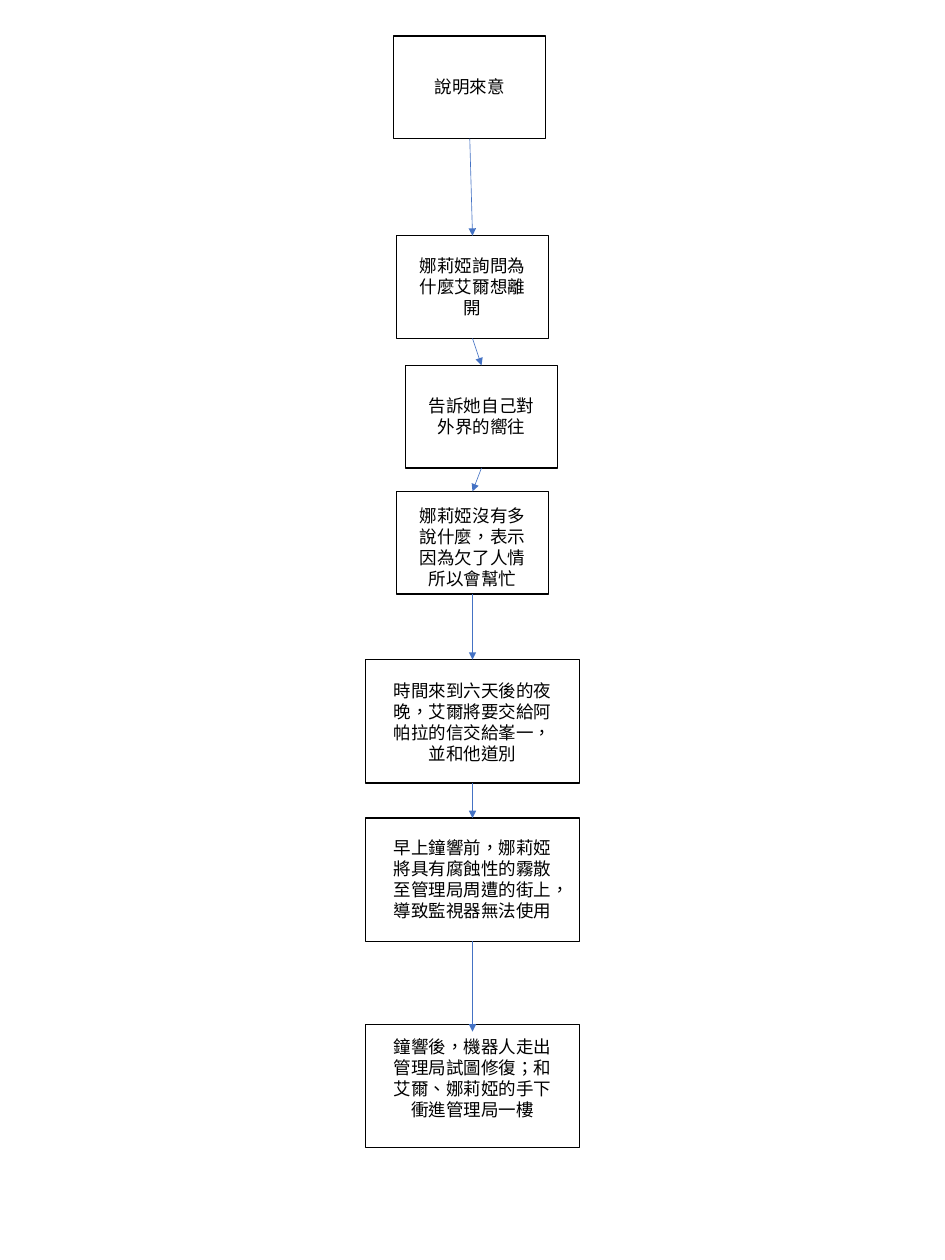
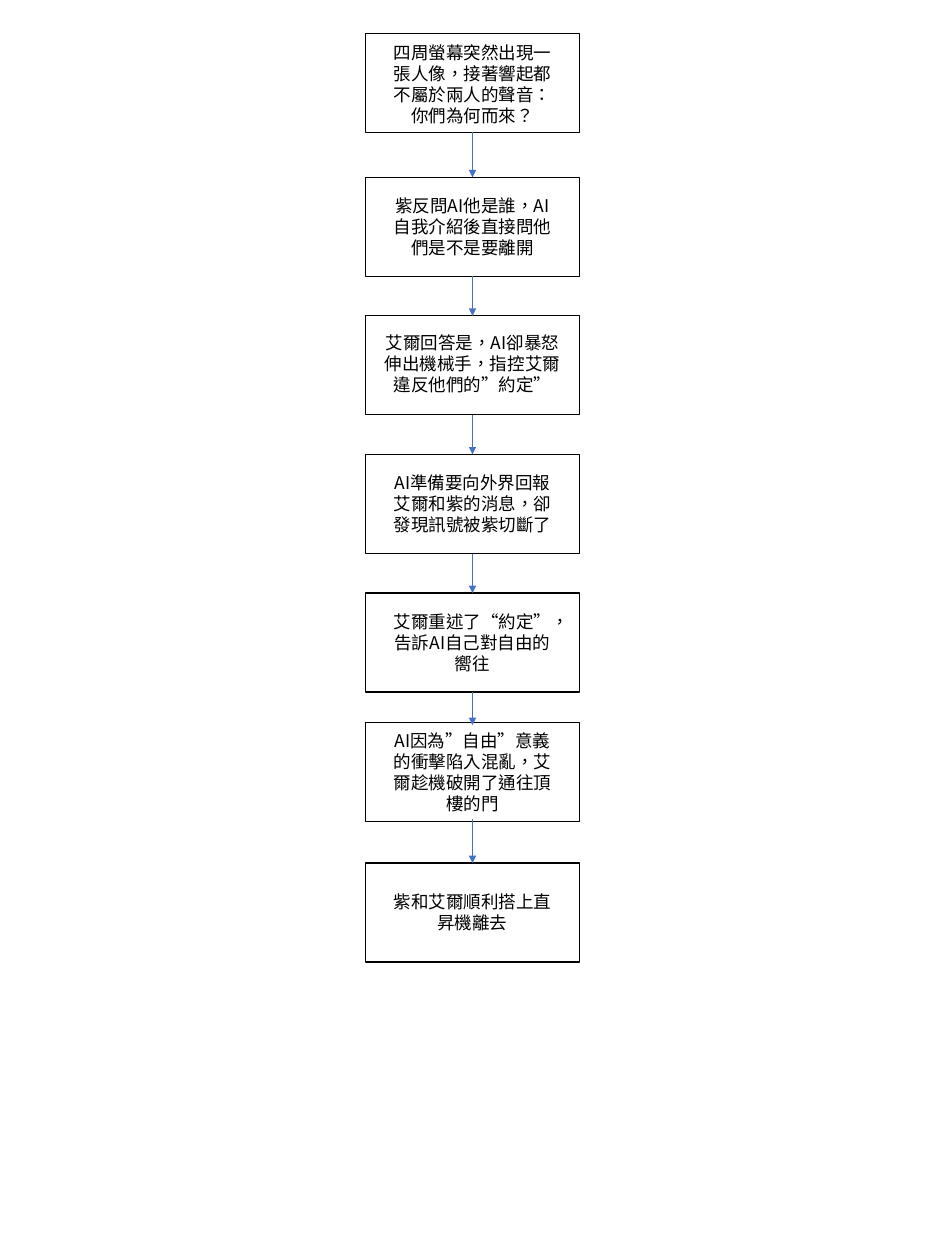
import dataclasses
import typing

import lxml.etree
import pptx
import pptx.dml.color
import pptx.enum.lang
import pptx.enum.shapes
import pptx.enum.text
import pptx.oxml.ns
import pptx.util

Inches = pptx.util.Inches

SLIDE_WIDTH, SLIDE_HEIGHT = 10.5, 14
CENTER = SLIDE_WIDTH / 2
FONT = "Noto Sans CJK SC"
BOX_FILL = "FFFFFF"
INK = "000000"
ARROW_COLOR = "4472C4"
FIRST_LINE_HEIGHT = 0.34
NEXT_LINE_HEIGHT = 0.235
TOP_SITE, BOTTOM_SITE = 0, 2


@dataclasses.dataclass(frozen=True)
class BoxSize:
    width: float
    height: float
    label_width: float


@dataclasses.dataclass(frozen=True)
class Step:
    text: str
    top: float
    lines: int
    size: BoxSize
    center: float = CENTER
    label_shift: float = 0
    arrows_meet_label: bool = False


SMALL = BoxSize(1.69, 1.14, 1.49)
LARGE = BoxSize(2.38, 1.37, 2.08)
MEDIUM = BoxSize(2.38, 1.1, 2.03)
MEDIUM_WIDE_LABEL = dataclasses.replace(MEDIUM, label_width=2.19)

ESCAPE_PLAN = [
    Step("說明來意", 0.4, 1, SMALL, center=5.22),
    Step("娜莉婭詢問為什麼艾爾想離開", 2.62, 3, SMALL),
    Step("告訴她自己對外界的嚮往", 4.06, 2, SMALL, center=5.35),
    Step("娜莉婭沒有多說什麼，表示因為欠了人情所以會幫忙", 5.46, 4, SMALL,
         label_shift=0.05),
    Step("時間來到六天後的夜晚，艾爾將要交給阿帕拉的信交給峯一，並和他道別",
         7.33, 4, LARGE, label_shift=0.01),
    Step("早上鐘響前，娜莉婭將具有腐蝕性的霧散至管理局周遭的街上，導致監視器無法使用",
         9.09, 4, LARGE),
    Step("鐘響後，機器人走出管理局試圖修復；和艾爾、娜莉婭的手下衝進管理局一樓",
         11.38, 4, LARGE, label_shift=-0.08, arrows_meet_label=True),
]

AI_CONFRONTATION = [
    Step("四周螢幕突然出現一張人像，接著響起都不屬於兩人的聲音：你們為何而來？",
         0.37, 4, MEDIUM, label_shift=0.02),
    Step("紫反問AI他是誰，AI自我介紹後直接問他們是不是要離開", 1.97, 3, MEDIUM),
    Step("艾爾回答是，AI卻暴怒伸出機械手，指控艾爾違反他們的”約定”",
         3.51, 3, MEDIUM_WIDE_LABEL, label_shift=-0.02),
    Step("AI準備要向外界回報艾爾和紫的消息，卻發現訊號被紫切斷了", 5.05, 3, MEDIUM),
    Step("艾爾重述了“約定”，告訴AI自己對自由的嚮往", 6.59, 3, MEDIUM),
    Step("AI因為”自由”意義的衝擊陷入混亂，艾爾趁機破開了通往頂樓的門",
         8.03, 4, MEDIUM, arrows_meet_label=True),
    Step("紫和艾爾順利搭上直昇機離去", 9.59, 2, MEDIUM),
]


def color(value: str) -> pptx.dml.color.RGBColor:
    return pptx.dml.color.RGBColor.from_string(value)


def write_text(shape: typing.Any, text: str, *, size: float = 14,
               font: str = FONT, ink: str = INK,
               align: typing.Any = pptx.enum.text.PP_ALIGN.CENTER) -> None:
    frame = shape.text_frame
    frame.word_wrap = True
    frame.auto_size = pptx.enum.text.MSO_AUTO_SIZE.SHAPE_TO_FIT_TEXT
    paragraph = frame.paragraphs[0]
    paragraph.alignment = align
    run = paragraph.add_run()
    run.text = text
    run.font.size = pptx.util.Pt(size)
    run.font.name = font
    run.font.color.rgb = color(ink)
    run.font.language_id = pptx.enum.lang.MSO_LANGUAGE_ID.TRADITIONAL_CHINESE
    properties = run._r.get_or_add_rPr()
    lxml.etree.SubElement(properties, pptx.oxml.ns.qn("a:ea"), typeface=font)


def draw_step(slide: typing.Any, step: Step) -> typing.Any:
    size = step.size
    group = slide.shapes.add_group_shape()
    box = group.shapes.add_shape(
        pptx.enum.shapes.MSO_SHAPE.RECTANGLE,
        Inches(step.center - size.width / 2), Inches(step.top),
        Inches(size.width), Inches(size.height))
    box.shadow.inherit = False
    box.fill.solid()
    box.fill.fore_color.rgb = color(BOX_FILL)
    box.line.color.rgb = color(INK)
    box.line.width = pptx.util.Pt(1)

    label_height = FIRST_LINE_HEIGHT + NEXT_LINE_HEIGHT * (step.lines - 1)
    label_top = step.top + (size.height - label_height) / 2 + step.label_shift
    label = group.shapes.add_textbox(
        Inches(step.center - size.label_width / 2), Inches(label_top),
        Inches(size.label_width), Inches(label_height))
    write_text(label, step.text)
    return label if step.arrows_meet_label else box


def draw_arrow(slide: typing.Any, source: typing.Any, target: typing.Any) -> None:
    arrow = slide.shapes.add_connector(
        pptx.enum.shapes.MSO_CONNECTOR.STRAIGHT, 0, 0, 0, 0)
    arrow.begin_connect(source, BOTTOM_SITE)
    arrow.end_connect(target, TOP_SITE)
    arrow.line.color.rgb = color(ARROW_COLOR)
    arrow.line.width = pptx.util.Pt(0.5)
    lxml.etree.SubElement(arrow.line._get_or_add_ln(),
                          pptx.oxml.ns.qn("a:tailEnd"), type="triangle")
    lxml.etree.SubElement(arrow._element.spPr, pptx.oxml.ns.qn("a:effectLst"))


def draw_flow(presentation: typing.Any, steps: list[Step]) -> None:
    slide = presentation.slides.add_slide(presentation.slide_layouts[6])
    anchors = [draw_step(slide, step) for step in steps]
    for source, target in zip(anchors, anchors[1:]):
        draw_arrow(slide, source, target)


presentation = pptx.Presentation()
presentation.slide_width = Inches(SLIDE_WIDTH)
presentation.slide_height = Inches(SLIDE_HEIGHT)
for flow in (ESCAPE_PLAN, AI_CONFRONTATION):
    draw_flow(presentation, flow)
presentation.save("out.pptx")
